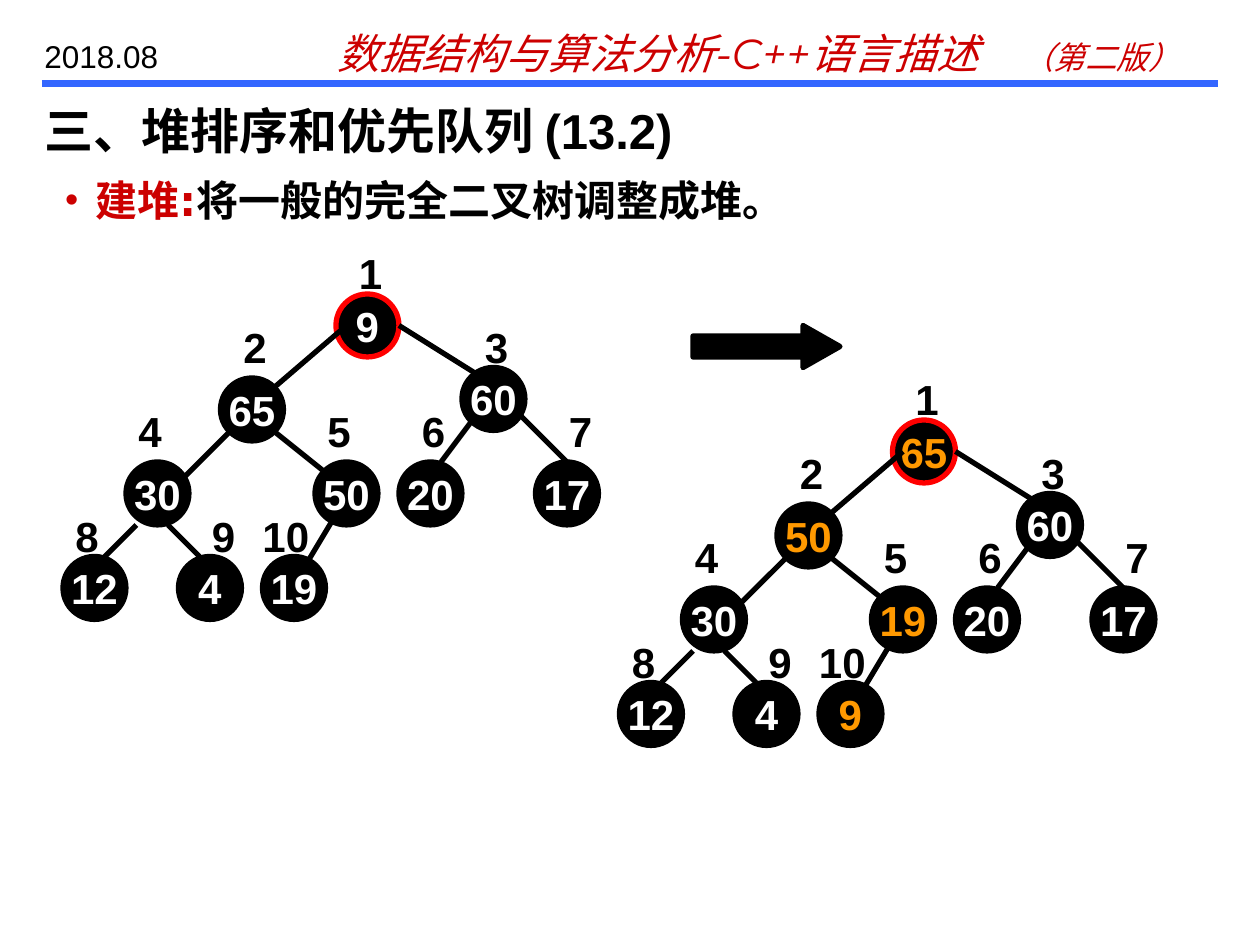
import dataclasses
import lxml.etree
import pptx
import pptx.dml.color
import pptx.enum.shapes
import pptx.enum.text
import pptx.oxml.ns
import pptx.util

Inches = pptx.util.Inches
Pt = pptx.util.Pt
SHAPE = pptx.enum.shapes.MSO_SHAPE
FIT = pptx.enum.text.MSO_AUTO_SIZE


@dataclasses.dataclass(frozen=True)
class Theme:
    """Colours, fonts and sizes of the slide."""
    ink: str = "000000"
    paper: str = "FFFFFF"
    rule: str = "3366FF"
    red: str = "CC0000"
    ring: str = "FF0000"
    gold: str = "FF9900"
    sans: str = "Arial"
    book: str = "Montserrat"
    wide: str = "DejaVu Sans"
    big: int = 28
    mid: int = 24
    small: int = 18
    thin: int = 3
    thick: int = 4


THEME = Theme()
NODES = [
    (26, 5, 1, -5), (15, 13, 1, -6), (38, 12, 1, -5), (6, 21, 0, -6),
    (24, 21, 0, -6), (32, 21, 1, -6), (45, 21, 2, -6), (0, 30, 0, -5),
    (11, 30, 2, -5), (19, 30, 0, -5),
]
EDGES = [
    (27, 8, 20, 14), (32, 8, 40, 13), (16, 18, 11, 23), (20, 18, 25, 22),
    (39, 17, 36, 21), (43, 16, 48, 21), (7, 27, 4, 30), (10, 27, 13, 30),
    (26, 26, 23, 31),
]
SIDE = 6


def grid(*steps):
    """Turn twelfths of an inch into lengths."""
    return [Inches(step / 12) for step in steps]


def tint(name):
    """Make a colour from its hex name."""
    return pptx.dml.color.RGBColor.from_string(name)


def node(parent, tag, **attrs):
    """Add a drawing element below a parent element."""
    return lxml.etree.SubElement(parent, pptx.oxml.ns.qn("a:" + tag), attrs)


def style(run, size, color, face=THEME.sans, bold=False, slant=False):
    """Format one run."""
    font = run.font
    font.size, font.name = Pt(size), face
    font.bold, font.italic = bold, slant
    font.color.rgb = tint(color)


def frame(shape, fit=FIT.NONE, wrap=True):
    """Prepare the text frame of a shape."""
    text = shape.text_frame
    text.word_wrap, text.auto_size = wrap, fit
    text.vertical_anchor = pptx.enum.text.MSO_ANCHOR.TOP
    return text


def place(shape, box):
    """Move a shape into a box."""
    shape.left, shape.top, shape.width, shape.height = box


def link(shapes, ends, color=THEME.ink, width=THEME.thin):
    """Draw a straight line between two points."""
    kind = pptx.enum.shapes.MSO_CONNECTOR.STRAIGHT
    line = shapes.add_connector(kind, *ends)
    line.line.color.rgb, line.line.width = tint(color), Pt(width)
    node(line._element.spPr, "effectLst")


def solid(shapes, kind, box, edge=THEME.ink):
    """Draw a black shape with an outline."""
    shape = shapes.add_shape(kind, *box)
    shape.shadow.inherit = False
    shape.fill.solid()
    shape.fill.fore_color.rgb = tint(THEME.ink)
    shape.line.color.rgb, shape.line.width = tint(edge), Pt(THEME.thin)
    return shape


def header(slide, box):
    """Place the date, the book name and the blue rule."""
    left, top, width, height = box
    base = top + height
    link(slide.shapes, (left, base, left + width, base), THEME.rule, THEME.thick)
    book = slide.shapes.add_textbox(left + Inches(2.25), top, Inches(7), height)
    para = frame(book, FIT.SHAPE_TO_FIT_TEXT).paragraphs[0]
    tabs = node(para._p.get_or_add_pPr(), "tabLst")
    node(tabs, "tab", pos=str(Inches(5.43)), algn="l")
    for words, size in (("数据结构与算法分析-C++语言描述\t", THEME.mid),
                        ("（第二版）", THEME.small)):
        run = para.add_run()
        run.text = words
        style(run, size, THEME.red, THEME.book, slant=True)
    date = slide.shapes.add_textbox(left - Inches(0.08), top + Inches(0.08),
                                    Inches(1.42), Inches(0.4))
    text = frame(date, FIT.SHAPE_TO_FIT_TEXT)
    text.text = "2018.08"
    style(text.paragraphs[0].runs[0], THEME.small, THEME.ink)


def title(slide, box):
    """Fill the title placeholder."""
    shape = slide.shapes.title
    place(shape, box)
    text = frame(shape)
    text.text = "三、堆排序和优先队列 (13.2)"
    para = text.paragraphs[0]
    para.alignment = pptx.enum.text.PP_ALIGN.LEFT
    style(para.runs[0], THEME.big, THEME.ink, bold=True)


def body(slide, box):
    """Fill the body placeholder with its one bullet."""
    shape = slide.placeholders[1]
    place(shape, box)
    para = frame(shape).paragraphs[0]
    props = para._p.get_or_add_pPr()
    hang = Inches(0.24)
    props.set("marL", str(hang))
    props.set("indent", str(-hang))
    para.space_before = Pt(0)
    node(node(props, "buClr"), "srgbClr", val=THEME.red)
    node(props, "buSzPct", val="90000")
    node(props, "buChar", char="•")
    for words, color in (("建堆:", THEME.red),
                         ("将一般的完全二叉树调整成堆。", THEME.ink)):
        run = para.add_run()
        run.text = words
        style(run, THEME.mid, color, THEME.wide, bold=True)


def disc(shapes, box, value, color, edge):
    """Draw one tree node with its value."""
    shape = solid(shapes, SHAPE.OVAL, box, edge)
    text = frame(shape, wrap=False)
    text.vertical_anchor = pptx.enum.text.MSO_ANCHOR.MIDDLE
    text.text = str(value)
    para = text.paragraphs[0]
    para.alignment = pptx.enum.text.PP_ALIGN.CENTER
    style(para.runs[0], THEME.mid, color, bold=True)


def label(shapes, box, index):
    """Write the index above a tree node."""
    text = frame(shapes.add_textbox(*box), FIT.SHAPE_TO_FIT_TEXT)
    if index > 9:
        text.margin_left = text.margin_right = 0
    text.text = str(index)
    style(text.paragraphs[0].runs[0], THEME.mid, THEME.ink, bold=True)


def tree(slide, col, row, values, moved=()):
    """Draw a heap tree from the grid point at its top left."""
    shapes = slide.shapes.add_group_shape().shapes
    for index, (value, (x, y, _, _)) in enumerate(zip(values, NODES), 1):
        color = THEME.gold if index in moved else THEME.paper
        edge = THEME.ring if index == 1 else THEME.ink
        disc(shapes, grid(col + x, row + y, SIDE, SIDE), value, color, edge)
    for x, y, right, low in EDGES:
        link(shapes, grid(col + x, row + y, col + right, row + low))
    for index, (x, y, dx, dy) in enumerate(NODES, 1):
        label(shapes, grid(col + x + dx, row + y + dy, SIDE, SIDE), index)


def arrow(slide, box):
    """Draw the arrow between the trees."""
    shape = solid(slide.shapes, SHAPE.RIGHT_ARROW, box)
    shape.adjustments[0], shape.adjustments[1] = 0.5, 0.88


def main():
    """Build and save the slide."""
    deck = pptx.Presentation()
    deck.slide_width, deck.slide_height = Inches(10), Inches(7.5)
    slide = deck.slides.add_slide(deck.slide_layouts[1])
    header(slide, grid(4, 2, 112, 6))
    title(slide, grid(3, 9, 102, 7))
    body(slide, grid(5, 16, 107, 6))
    arrow(slide, grid(66, 31, 14, 4))
    tree(slide, 6, 23, (9, 65, 60, 30, 50, 20, 17, 12, 4, 19))
    tree(slide, 59, 35, (65, 50, 60, 30, 19, 20, 17, 12, 4, 9), (1, 2, 5, 10))
    deck.save("out.pptx")


if __name__ == "__main__":
    main()
